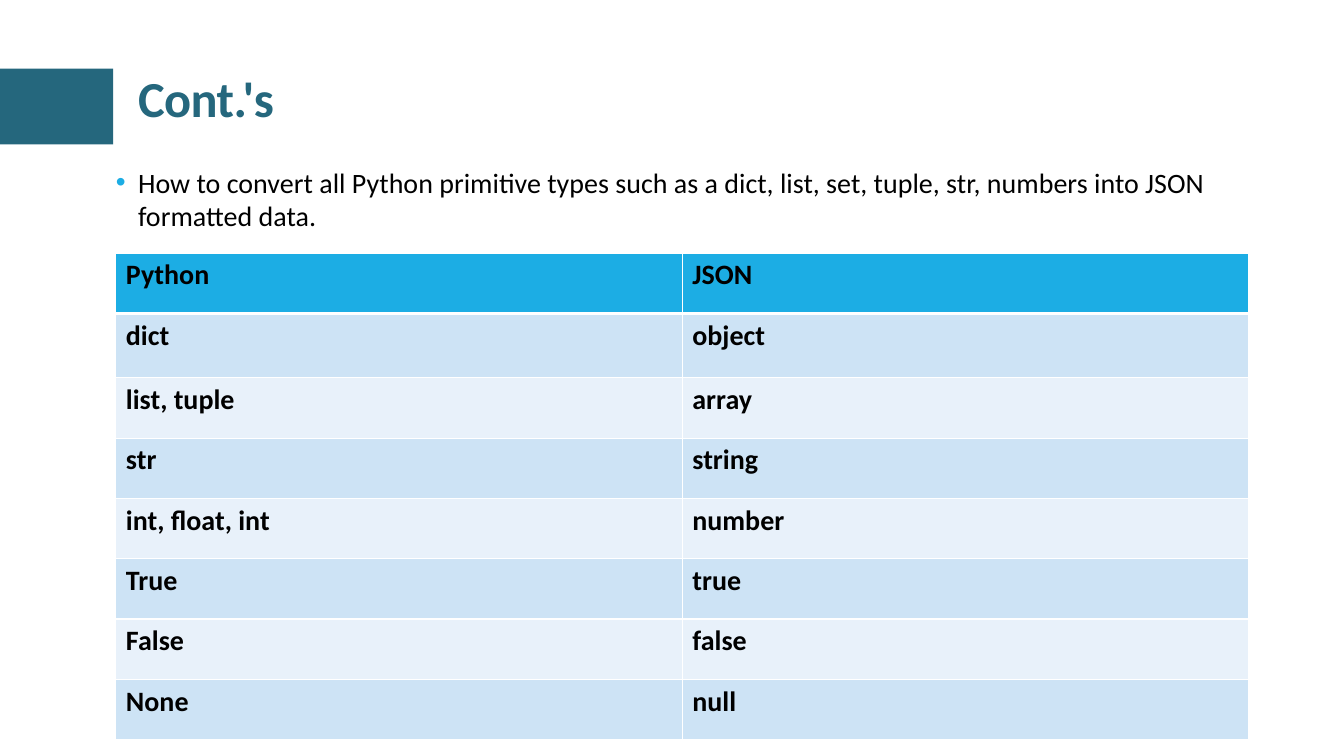
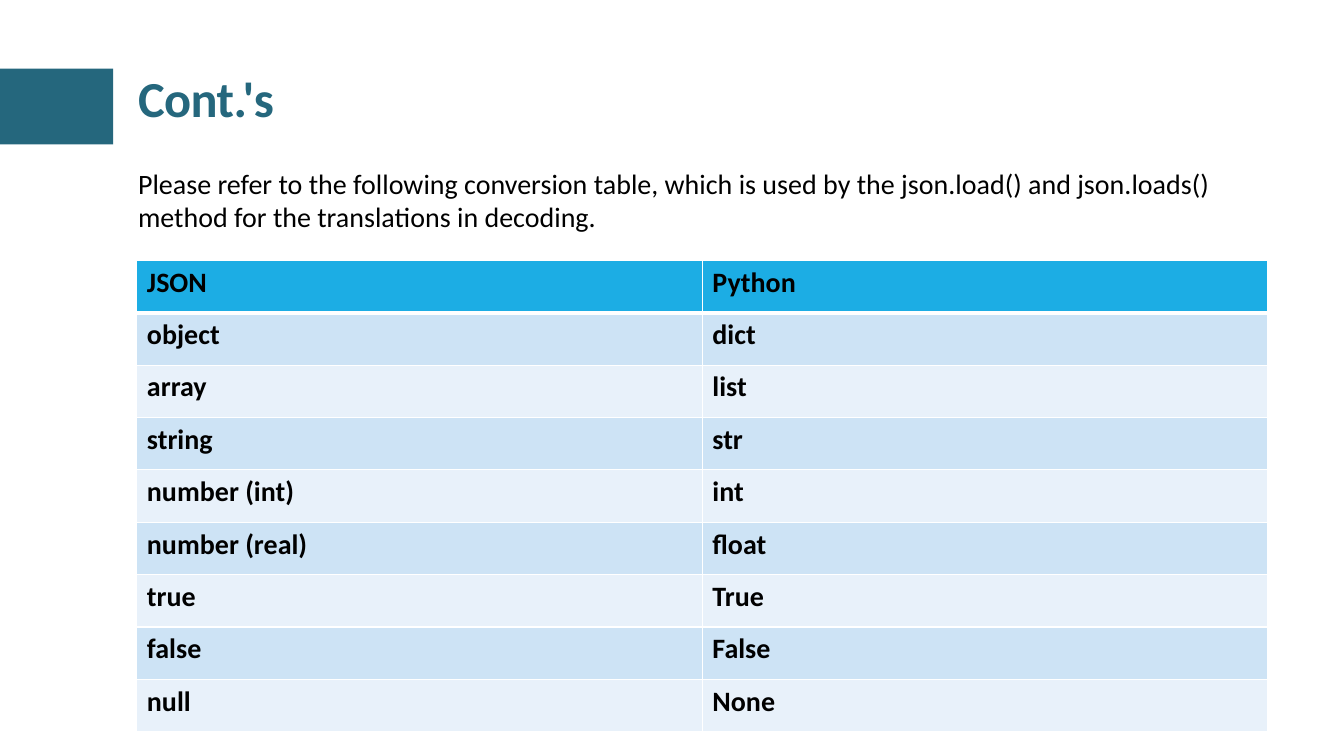
from dataclasses import dataclass

from lxml import etree
from pptx import Presentation
from pptx import util as u
from pptx.dml.color import RGBColor
from pptx.enum import shapes, text
from pptx.oxml import ns

SLIDES = [
    {
        "title": "Cont.'s",
        "body": "How to convert all Python primitive types such as a dict, list, set, "
                "tuple, str, numbers into JSON formatted data.",
        "bullet": True,
        "body_box": (2.67, 4.04, 28.55, 14.6),
        "table_box": (2.92, 6.38, 28.55),
        "row_heights": [1.52, 1.62] + [1.52] * 6,
        "rows": [
            ("Python", "JSON"),
            ("dict", "object"),
            ("list, tuple", "array"),
            ("str", "string"),
            ("int, float, int", "number"),
            ("True", "true"),
            ("False", "false"),
            ("None", "null"),
        ],
    },
    {
        "title": "Cont.'s",
        "body": "Please refer to the following conversion table, which is used by the "
                "json.load() and json.loads() method for the translations in decoding.",
        "bullet": False,
        "body_box": (3.23, 4.06, 28.55, 13.46),
        "table_box": (3.45, 6.56, 28.5),
        "row_heights": [1.32] * 9,
        "rows": [
            ("JSON", "Python"),
            ("object", "dict"),
            ("array", "list"),
            ("string", "str"),
            ("number (int)", "int"),
            ("number (real)", "float"),
            ("true", "True"),
            ("false", "False"),
            ("null", "None"),
        ],
    },
]

SLIDE_SIZE = (33.87, 19.05)
ACCENT_BOX = (-0.03, 1.73, 2.88, 1.91)
TITLE_BOX = (3.23, 1.73, 26.09, 1.98)
BULLET_INDENT = 0.56


@dataclass(frozen=True)
class Theme:
    """Colours, font and type sizes shared by the slides."""
    font: str = "Calibri"
    accent: str = "25677D"
    header: str = "1CADE4"
    bands: tuple = ("CDE3F5", "E8F1FA")
    border: str = "FFFFFF"
    ink: str = "000000"
    title_size: int = 36
    text_size: int = 20
    thin: int = 1
    thick: int = 3


THEME = Theme()


def lengths(values):
    """Turn centimetre numbers into lengths."""
    return [u.Cm(value) for value in values]


def write(frame, content, size, colour, bold=False):
    """Put one formatted line of text in a frame and return its paragraph."""
    paragraph = frame.paragraphs[0]
    run = paragraph.add_run()
    run.text = content
    formats = {"name": THEME.font, "size": u.Pt(size), "bold": bold}
    for name, value in formats.items():
        setattr(run.font, name, value)
    run.font.color.rgb = RGBColor.from_string(colour)
    return paragraph


def add_text(slide, box, *style, **options):
    """Add a wrapping, top-anchored text box and return its paragraph."""
    frame = slide.shapes.add_textbox(*lengths(box)).text_frame
    frame.word_wrap = True
    frame.vertical_anchor = text.MSO_ANCHOR.TOP
    return write(frame, *style, **options)


def add_bullet(paragraph):
    """Give a paragraph a hanging round bullet."""
    properties = paragraph._p.get_or_add_pPr()
    indent = u.Cm(BULLET_INDENT)
    properties.set("marL", str(indent))
    properties.set("indent", str(-indent))
    colour = etree.SubElement(properties, ns.qn("a:buClr"))
    etree.SubElement(colour, ns.qn("a:srgbClr"), val=THEME.header)
    etree.SubElement(properties, ns.qn("a:buFont"), typeface="Arial")
    etree.SubElement(properties, ns.qn("a:buChar"), char="•")


def add_borders(cell, top, bottom):
    """Draw the four borders of a cell; top and bottom are point widths."""
    properties = cell._tc.get_or_add_tcPr()
    widths = {"lnL": THEME.thin, "lnR": THEME.thin, "lnT": top, "lnB": bottom}
    for side, width in widths.items():
        line = etree.SubElement(properties, ns.qn("a:" + side), w=str(u.Pt(width)))
        fill = etree.SubElement(line, ns.qn("a:solidFill"))
        etree.SubElement(fill, ns.qn("a:srgbClr"), val=THEME.border)


def add_conversion_table(slide, rows, box, row_heights):
    """Add a banded table with equal columns and a thick rule under its header."""
    left, top, width = box
    column_count = len(rows[0])
    table = slide.shapes.add_table(
        len(rows), column_count, *lengths((left, top, width, sum(row_heights)))).table
    for column in table.columns:
        column.width = u.Cm(width / column_count)
    for index, (row, height) in enumerate(zip(table.rows, row_heights)):
        row.height = u.Cm(height)
        colour = THEME.bands[(index - 1) % 2] if index else THEME.header
        rule_above = THEME.thick if index == 1 else THEME.thin
        rule_below = THEME.thin if index else THEME.thick
        for cell, content in zip(row.cells, rows[index]):
            add_borders(cell, rule_above, rule_below)
            cell.fill.solid()
            cell.fill.fore_color.rgb = RGBColor.from_string(colour)
            write(cell.text_frame, content, THEME.text_size, THEME.ink, bold=True)


def add_heading(slide, title):
    """Add the accent block and the title beside it."""
    block = slide.shapes.add_shape(shapes.MSO_SHAPE.RECTANGLE, *lengths(ACCENT_BOX))
    block.shadow.inherit = False
    block.fill.solid()
    block.fill.fore_color.rgb = RGBColor.from_string(THEME.accent)
    block.line.fill.background()
    paragraph = add_text(slide, TITLE_BOX, title, THEME.title_size, THEME.accent, bold=True)
    paragraph.line_spacing = 0.9
    paragraph.runs[0]._r.get_or_add_rPr().set("spc", "-40")


def build():
    """Build and save the presentation."""
    presentation = Presentation()
    presentation.slide_width, presentation.slide_height = lengths(SLIDE_SIZE)
    blank = presentation.slide_layouts[6]
    for content in SLIDES:
        slide = presentation.slides.add_slide(blank)
        add_heading(slide, content["title"])
        paragraph = add_text(
            slide, content["body_box"], content["body"], THEME.text_size, THEME.ink)
        if content["bullet"]:
            add_bullet(paragraph)
        add_conversion_table(
            slide, content["rows"], content["table_box"], content["row_heights"])
    presentation.save("out.pptx")


build()
